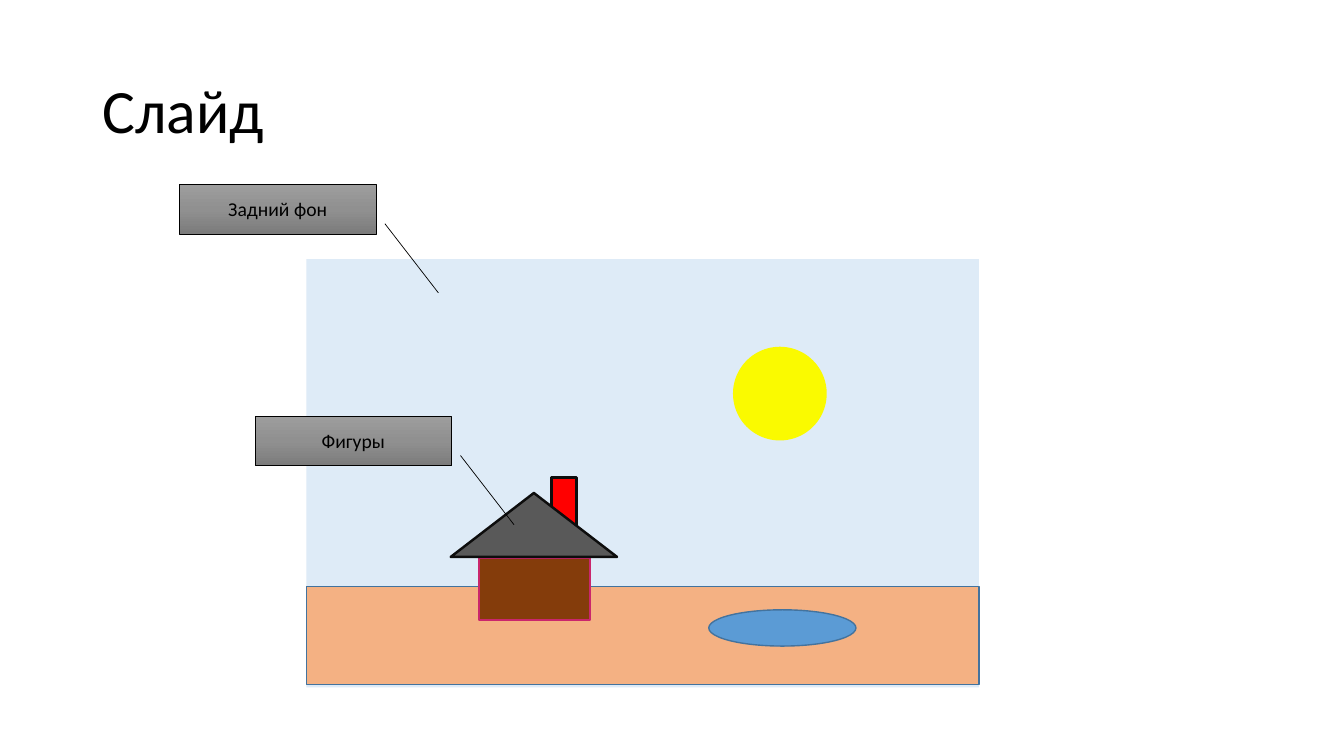
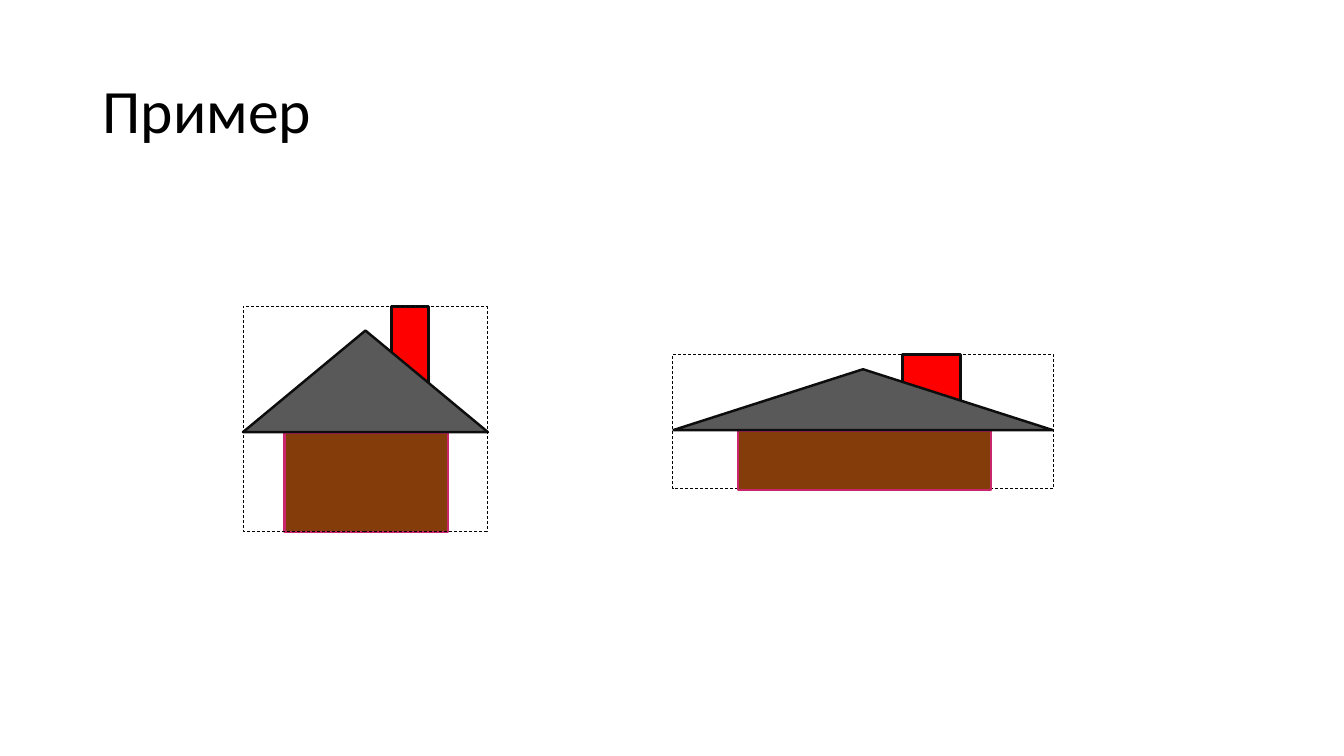
import copy

import pptx
import pptx.dml.color
import pptx.enum.dml
import pptx.enum.shapes
import pptx.enum.text
import pptx.util

Inches = pptx.util.Inches
Pt = pptx.util.Pt
MSO_SHAPE = pptx.enum.shapes.MSO_SHAPE


def rgb(value):
    return pptx.dml.color.RGBColor.from_string(value)


class Deck:
    """Hold the shared style and the current slide, and draw elements on it."""

    FONT = "Calibri"
    BLACK = "000000"
    EDGE = "0D0D0D"
    WATER_EDGE = "43739E"
    LABEL_STOPS = ((0, "9D9D9D"), (0.5, "909090"), (1, "7C7C7C"))
    LABEL_SIZE = (1.95, 0.49)
    LABEL_POINTER = (0.795, 1.045, 2.195, 1.317)
    HOUSE = (
        (MSO_SHAPE.RECTANGLE, (0.605, 0, 0.153, 0.41), "FF0000", (EDGE, 2)),
        (MSO_SHAPE.RECTANGLE, (0.17, 0.56, 0.667, 0.44), "843C0B", ("CA266C", 1.75)),
        (MSO_SHAPE.ISOSCELES_TRIANGLE, (0, 0.107, 1, 0.45), "595959", (EDGE, 1.75)),
    )

    def __init__(self):
        self.prs = pptx.Presentation()
        self.prs.slide_width = Inches(13.33)
        self.prs.slide_height = Inches(7.5)
        self.slide = None

    def new_slide(self, title):
        self.slide = self.prs.slides.add_slide(self.prs.slide_layouts[6])
        box = map(Inches, (0.92, 0.4, 11.5, 1.45))
        sp = self.slide.shapes.add_textbox(*box)
        p = self.text(sp, title, 44)
        p.line_spacing = 0.9

    def text(self, sp, words, size):
        tf = sp.text_frame
        tf.word_wrap = True
        tf.vertical_anchor = pptx.enum.text.MSO_ANCHOR.MIDDLE
        p = tf.paragraphs[0]
        p.text = words
        p.font.name = self.FONT
        p.font.size = Pt(size)
        p.font.color.rgb = rgb(self.BLACK)
        return p

    def shape(self, kind, box, fill=None, line=None, group=None):
        parent = group or self.slide
        sp = parent.shapes.add_shape(kind, *map(Inches, box))
        sp.shadow.inherit = False
        if fill:
            sp.fill.solid()
            sp.fill.fore_color.rgb = rgb(fill)
        else:
            sp.fill.background()
        if line:
            color, width = line
            sp.line.color.rgb = rgb(color)
            sp.line.width = Pt(width)
        else:
            sp.line.fill.background()
        return sp

    def house(self, left, top, width, height):
        group = self.slide.shapes.add_group_shape()
        for kind, (x, y, w, h), fill, line in self.HOUSE:
            box = (left + x * width, top + y * height, w * width, h * height)
            self.shape(kind, box, fill, line, group)

    def frame(self, *box):
        sp = self.shape(MSO_SHAPE.RECTANGLE, box, line=(self.BLACK, 0.5))
        sp.line.dash_style = pptx.enum.dml.MSO_LINE.DASH

    def label(self, left, top, words):
        box = (left, top, *self.LABEL_SIZE)
        sp = self.shape(MSO_SHAPE.LINE_CALLOUT_1, box, line=(self.BLACK, 0.5))
        for i, value in enumerate(self.LABEL_POINTER):
            sp.adjustments[i] = value
        sp.fill.gradient()
        sp.fill.gradient_angle = 270
        stops = sp.element.xpath(".//a:gsLst")[0]
        stops.insert(1, copy.deepcopy(stops[0]))
        for stop, (position, color) in zip(sp.fill.gradient_stops, self.LABEL_STOPS):
            stop.position = position
            stop.color.rgb = rgb(color)
        p = self.text(sp, words, 14)
        p.alignment = pptx.enum.text.PP_ALIGN.CENTER


def landscape_slide(deck):
    water_line = (deck.WATER_EDGE, 1)
    deck.new_slide("Слайд")
    deck.shape(MSO_SHAPE.RECTANGLE, (3.04, 2.57, 6.67, 4.25), "DEEBF7")
    deck.shape(MSO_SHAPE.RECTANGLE, (3.04, 5.82, 6.67, 0.97), "F4B183", water_line)
    deck.shape(MSO_SHAPE.OVAL, (7.27, 3.44, 0.93, 0.93), "FAFA00")
    deck.house(4.47, 4.74, 1.65, 1.41)
    deck.shape(MSO_SHAPE.OVAL, (7.03, 6.05, 1.46, 0.36), "5B9BD5", water_line)
    deck.label(1.78, 1.83, "Задний фон")
    deck.label(2.53, 4.13, "Фигуры")


def example_slide(deck):
    deck.new_slide("Пример")
    deck.house(2.41, 3.04, 2.43, 2.24)
    deck.frame(2.41, 3.04, 2.42, 2.23)
    deck.frame(6.67, 3.52, 3.78, 1.33)
    deck.house(6.68, 3.52, 3.76, 1.34)


def main():
    deck = Deck()
    landscape_slide(deck)
    example_slide(deck)
    deck.prs.save("out.pptx")


if __name__ == "__main__":
    main()
